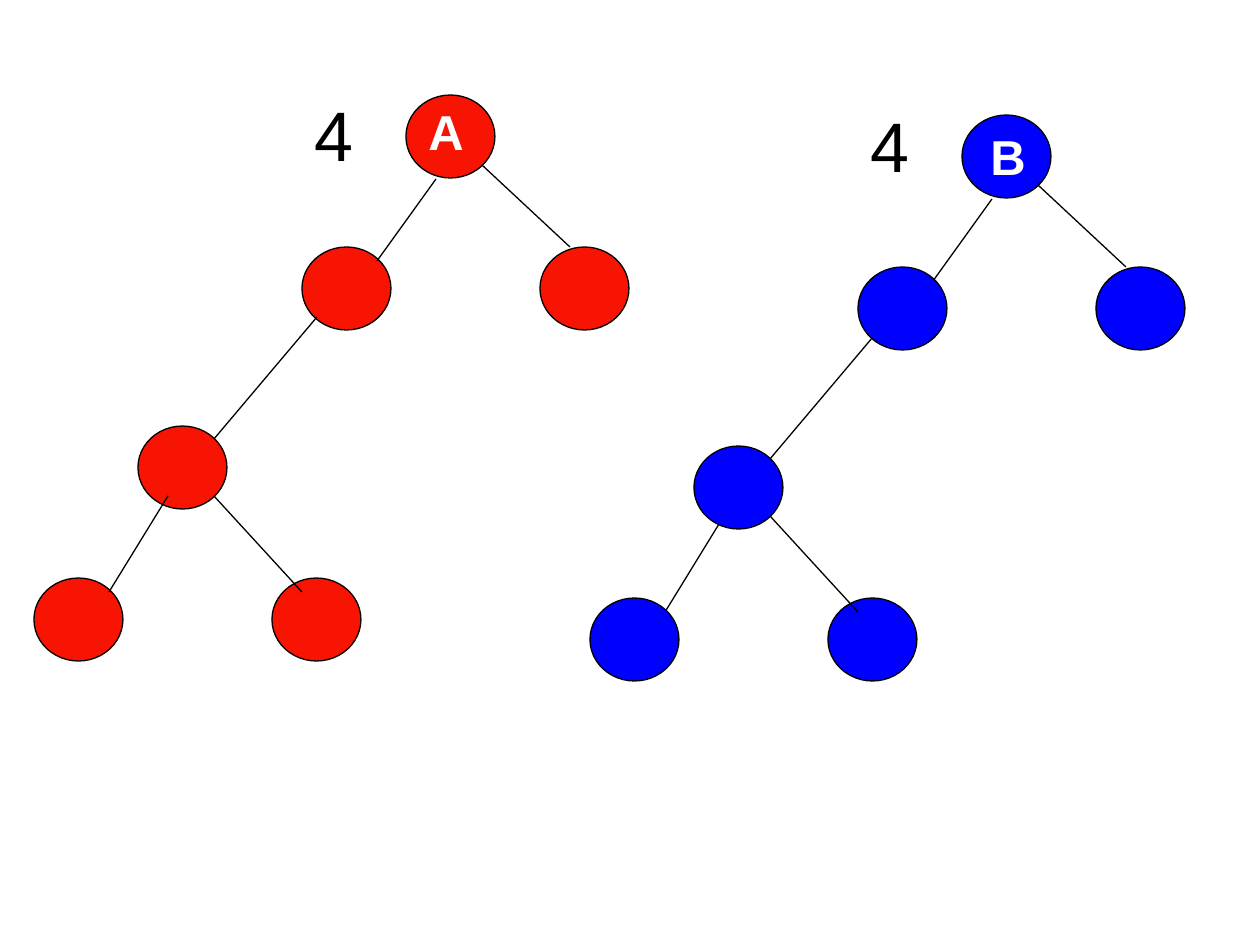
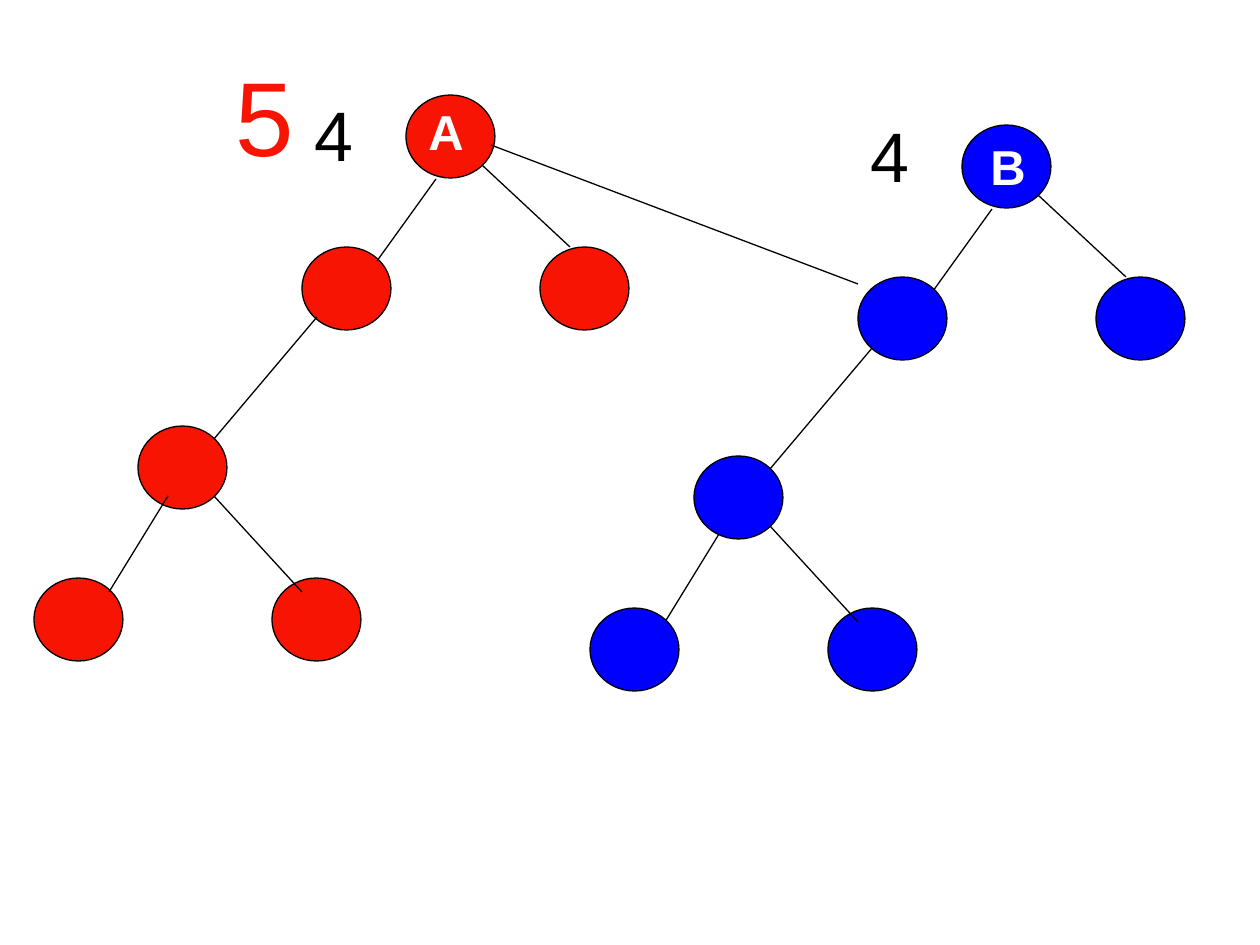
from dataclasses import dataclass

from lxml.etree import SubElement
from pptx import Presentation
from pptx.dml.color import RGBColor
from pptx.enum.shapes import MSO_CONNECTOR, MSO_SHAPE
from pptx.enum.text import MSO_ANCHOR
from pptx.oxml.ns import qn
from pptx.util import Pt

PX = 914400 / 126
NODE_WIDTH, NODE_HEIGHT = 89, 83
SIBLING_GAP = 238
LEVELS = (0, 152, 331, 483)
NODES = {
    "root": (372, LEVELS[0]),
    "left": (268, LEVELS[1]),
    "right": (268 + SIBLING_GAP, LEVELS[1]),
    "inner": (104, LEVELS[2]),
    "left leaf": (0, LEVELS[3]),
    "right leaf": (SIBLING_GAP, LEVELS[3]),
}
EDGES = (
    ((402, 84), (343, 166)),
    ((283, 222), (180, 344)),
    ((134, 401), (75, 497)),
    ((180, 401), (268, 497)),
    ((448, 70), (536, 152)),
)


@dataclass(frozen=True)
class Theme:
    """Colours and type sizes used on both slides."""
    red: RGBColor = RGBColor(0xF7, 0x14, 0x03)
    blue: RGBColor = RGBColor(0x00, 0x00, 0xFF)
    black: RGBColor = RGBColor(0x00, 0x00, 0x00)
    white: RGBColor = RGBColor(0xFF, 0xFF, 0xFF)
    font: str = "Arial"
    name_size: int = 28
    rank_size: int = 40
    new_rank_size: int = 60
    line_width: float = 0.75


THEME = Theme()


@dataclass(frozen=True)
class Tree:
    """Look of one tree, with label places relative to its box."""
    name: str
    color: RGBColor
    name_at: tuple
    rank_at: tuple
    nodes_behind_edges: tuple


TREE_A = Tree("A", THEME.red, (382, 0), (268, -10), tuple(NODES))
TREE_B = Tree("B", THEME.blue, (388, 5), (268, -19), ("root", "right leaf"))


def emu(*lengths):
    """Turn px lengths into EMU."""
    return [round(length * PX) for length in lengths]


def add_node(slide, left, top, color):
    """Draw one round tree node."""
    node = slide.shapes.add_shape(
        MSO_SHAPE.OVAL, *emu(left, top, NODE_WIDTH, NODE_HEIGHT))
    node.shadow.inherit = False
    node.fill.solid()
    node.fill.fore_color.rgb = color
    node.line.color.rgb = THEME.black
    node.line.width = Pt(THEME.line_width)


def add_edge(slide, start, end):
    """Draw a thin straight line between two points."""
    edge = slide.shapes.add_connector(MSO_CONNECTOR.STRAIGHT, *emu(*start, *end))
    edge.line.color.rgb = THEME.black
    edge.line.width = Pt(THEME.line_width)
    SubElement(edge._element.spPr, qn("a:effectLst"))


def add_label(slide, box, text, size, color, bold=False):
    """Write one short label in its box."""
    frame = slide.shapes.add_textbox(*emu(*box)).text_frame
    frame.word_wrap = True
    frame.vertical_anchor = MSO_ANCHOR.BOTTOM
    paragraph = frame.paragraphs[0]
    paragraph.text = text
    font = paragraph.font
    font.name, font.size, font.bold = THEME.font, Pt(size), bold
    font.color.rgb = color


def add_tree(slide, left, top, tree):
    """Draw a whole tree with its name and rank from the given corner."""
    def place(point):
        return left + point[0], top + point[1]

    def add_nodes(behind):
        for key, point in NODES.items():
            if (key in tree.nodes_behind_edges) == behind:
                add_node(slide, *place(point), tree.color)

    add_nodes(behind=True)
    for start, end in EDGES:
        add_edge(slide, place(start), place(end))
    add_nodes(behind=False)
    add_label(slide, (*place(tree.name_at), 105, 72), tree.name,
              THEME.name_size, THEME.white, bold=True)
    add_label(slide, (*place(tree.rank_at), 129, 97), "4",
              THEME.rank_size, THEME.black)


def add_forest_slide(presentation, tree_b_top):
    """Add a slide with both trees side by side."""
    slide = presentation.slides.add_slide(presentation.slide_layouts[6])
    add_tree(slide, 34, 95, TREE_A)
    add_tree(slide, 590, tree_b_top, TREE_B)
    return slide


def add_link_to_tree_b(slide):
    """Join root A to a child of B and show the new rank."""
    add_edge(slide, (491, 145), (858, 284))
    add_label(slide, (223, 45, 189, 139), "5", THEME.new_rank_size, THEME.red)


def main():
    """Build and save the two slides."""
    presentation = Presentation()
    presentation.slide_width, presentation.slide_height = emu(1260, 945)
    add_forest_slide(presentation, 115)
    add_link_to_tree_b(add_forest_slide(presentation, 125))
    presentation.save("out.pptx")


if __name__ == "__main__":
    main()
